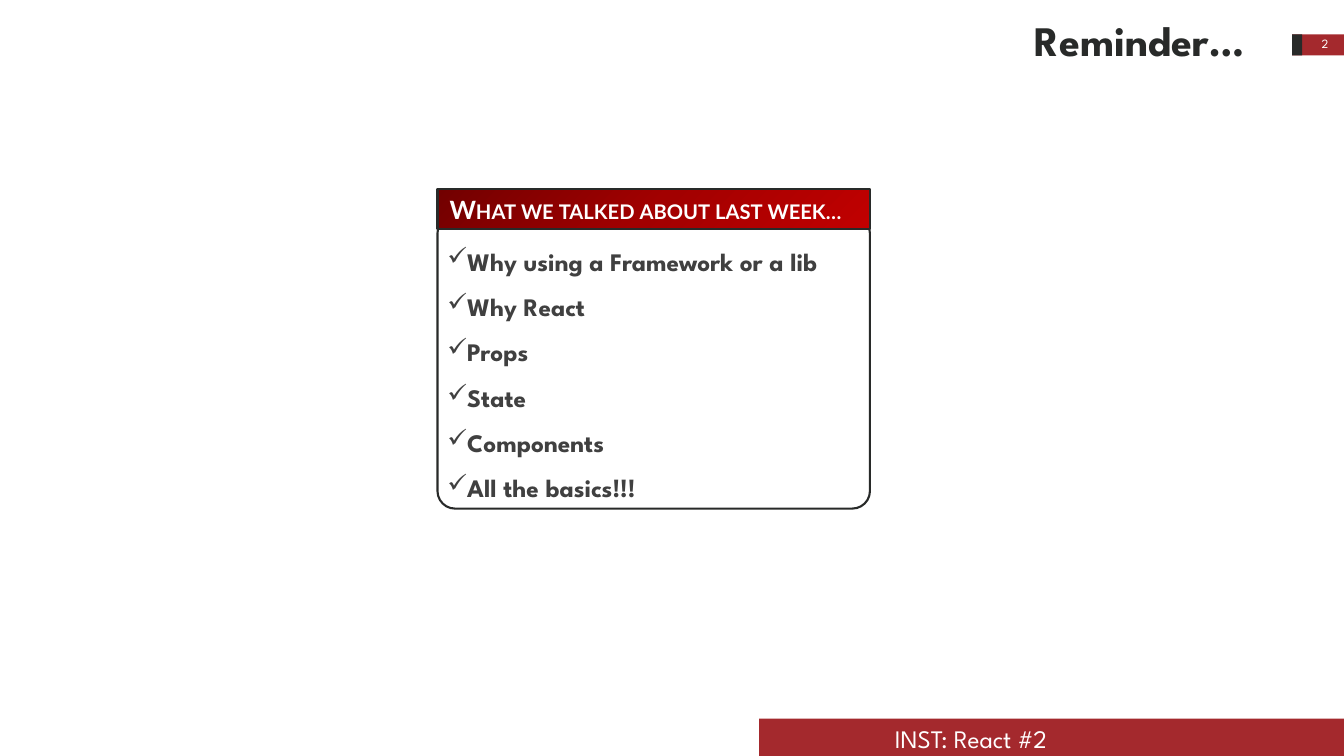
import copy

import pptx
import pptx.dml.color
import pptx.enum.shapes
import pptx.enum.text
import pptx.oxml
import pptx.oxml.ns
import pptx.util

Pt = pptx.util.Pt
SHAPES = pptx.enum.shapes.MSO_SHAPE
ANCHOR = pptx.enum.text.MSO_ANCHOR
ALIGN = pptx.enum.text.PP_ALIGN

TITLE = "Reminder…"
PAGE_NUMBER = "2"
FOOTER = "INST: React #2"
CARD_HEADING = "What we talked about last week…"
TOPICS = [
    "Why using a Framework or a lib",
    "Why React",
    "Props",
    "State",
    "Components",
    "All the basics!!!",
]

THEME = {
    "font": "League Spartan", "heading_font": "Lato",
    "red": "A4292D", "dark": "282A29", "white": "FFFFFF", "text": "404040",
    "gradient": [(0, "720000"), (0.5, "A20000"), (1, "C00000")],
    "title_size": 30, "body_size": 18, "number_size": 9, "outline": 1.5,
}

SLIDE_WIDTH, SLIDE_HEIGHT = 960, 540
FOOTER_LEFT, FOOTER_TOP = 542.2, 513.4
TAG_LEFT, TAG_TOP, TAG_HEIGHT, TAG_EDGE = 922.9, 24.5, 15.1, 7.2
CARD_LEFT, CARD_WIDTH = 312.5, 308.9
HEADING_TOP, HEADING_HEIGHT = 135.2, 28.2
PANEL_TOP, PANEL_HEIGHT = 154, 209.3
BULLET_INDENT = 13.5


def color(name):
    return pptx.dml.color.RGBColor.from_string(THEME.get(name, name))


def add_box(slide, kind, left, top, width, height, fill=None, outline=None):
    shape = slide.shapes.add_shape(kind, Pt(left), Pt(top), Pt(width), Pt(height))
    shape.shadow.inherit = False
    if fill:
        shape.fill.solid()
        shape.fill.fore_color.rgb = color(fill)
    if outline:
        shape.line.color.rgb = color(outline)
        shape.line.width = Pt(THEME["outline"])
    else:
        shape.line.fill.background()
    return shape


def add_text_box(slide, left, top, width, height):
    return slide.shapes.add_textbox(Pt(left), Pt(top), Pt(width), Pt(height))


def apply_gradient(shape, stops):
    shape.fill.gradient()
    shape.fill.gradient_angle = 315
    stop_list = shape._element.spPr.find(".//" + pptx.oxml.ns.qn("a:gsLst"))
    while len(stop_list) < len(stops):
        stop_list.append(copy.deepcopy(stop_list[0]))
    for stop, (position, value) in zip(shape.fill.gradient_stops, stops):
        stop.position = position
        stop.color.rgb = color(value)


def add_bullet(paragraph, character, indent):
    properties = paragraph._p.get_or_add_pPr()
    properties.set("marL", str(Pt(indent)))
    properties.set("indent", str(-Pt(indent)))
    bullet = pptx.oxml.parse_xml(
        f'<a:buChar {pptx.oxml.ns.nsdecls("a")} char="{character}"/>')
    properties.append(bullet)


def write(shape, lines, size="body_size", font="font", fill="white", bold=False,
          align=ALIGN.LEFT, anchor=ANCHOR.TOP, wrap=True, small_caps=False,
          spacing=None, bullet=None, margins=None):
    frame = shape.text_frame
    frame.word_wrap = wrap
    frame.vertical_anchor = anchor
    if margins:
        (frame.margin_left, frame.margin_top,
         frame.margin_right, frame.margin_bottom) = map(Pt, margins)
    for index, line in enumerate(lines):
        paragraph = frame.add_paragraph() if index else frame.paragraphs[0]
        paragraph.alignment = align
        if spacing:
            paragraph.line_spacing = spacing
        if bullet:
            add_bullet(paragraph, bullet, BULLET_INDENT)
        run = paragraph.add_run()
        run.text = line
        run.font.name = THEME[font]
        run.font.size = Pt(THEME[size])
        run.font.bold = bold
        run.font.color.rgb = color(fill)
        if small_caps:
            run.font._element.set("cap", "small")


def add_frame(slide):
    """Add the footer band, the page tag and the title."""
    add_box(slide, SHAPES.RECTANGLE, FOOTER_LEFT, FOOTER_TOP,
            SLIDE_WIDTH - FOOTER_LEFT, SLIDE_HEIGHT - FOOTER_TOP, fill="red")
    for width, fill in ((SLIDE_WIDTH - TAG_LEFT, "red"), (TAG_EDGE, "dark")):
        add_box(slide, SHAPES.RECTANGLE, TAG_LEFT, TAG_TOP, width, TAG_HEIGHT, fill=fill)
    write(add_text_box(slide, 732.2, 7.2, 185, 42.5), [TITLE], size="title_size",
          fill="dark", bold=True, anchor=ANCHOR.BOTTOM)
    write(add_text_box(slide, TAG_LEFT + TAG_EDGE, 18, 25.9, 26.6), [PAGE_NUMBER],
          size="number_size", align=ALIGN.RIGHT, anchor=ANCHOR.MIDDLE)
    write(add_text_box(slide, 632.2, FOOTER_TOP, 139.7, 28.8), [FOOTER], wrap=False)


def add_card(slide):
    panel = add_box(slide, SHAPES.ROUNDED_RECTANGLE, CARD_LEFT, PANEL_TOP,
                    CARD_WIDTH, PANEL_HEIGHT, fill="white", outline="dark")
    panel.adjustments[0] = 0.06
    heading = add_box(slide, SHAPES.RECTANGLE, CARD_LEFT, HEADING_TOP,
                      CARD_WIDTH, HEADING_HEIGHT, outline="dark")
    apply_gradient(heading, THEME["gradient"])
    write(heading, [CARD_HEADING], font="heading_font", bold=True, small_caps=True,
          anchor=ANCHOR.MIDDLE, margins=(8.6, 0, 0, 0))
    write(add_text_box(slide, CARD_LEFT, 161.3, 390.2, 231.8), TOPICS,
          fill="text", bold=True, spacing=1.5, bullet="✓")


def main():
    presentation = pptx.Presentation()
    presentation.slide_width = Pt(SLIDE_WIDTH)
    presentation.slide_height = Pt(SLIDE_HEIGHT)
    slide = presentation.slides.add_slide(presentation.slide_layouts[6])
    add_frame(slide)
    add_card(slide)
    presentation.save("out.pptx")


if __name__ == "__main__":
    main()
